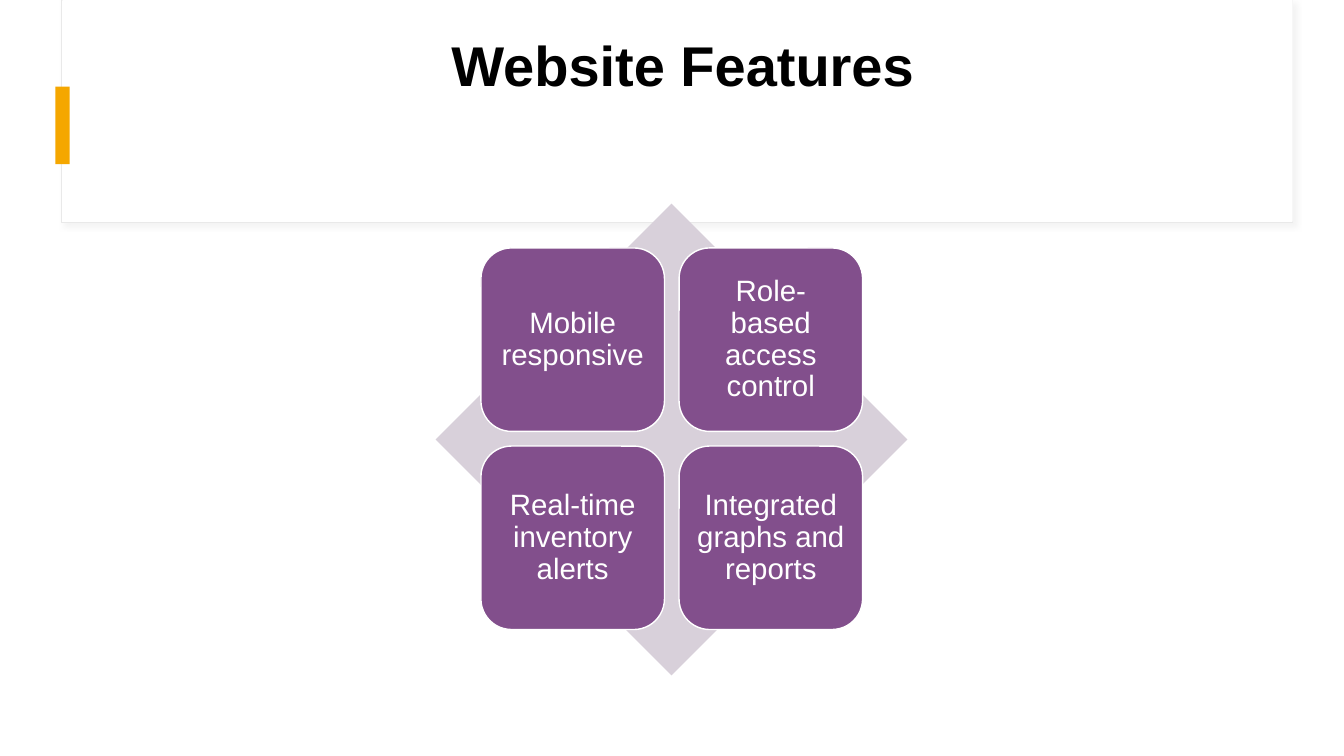
from dataclasses import dataclass

from lxml import etree
from pptx import Presentation
from pptx.dml.color import RGBColor
from pptx.enum import shapes, text
from pptx.oxml import ns
from pptx.util import Inches, Pt


@dataclass(frozen=True)
class Theme:
    font: str = "Arial"
    white: str = "FFFFFF"
    black: str = "000000"
    border: str = "E9E9E9"
    shadow: str = "D9D9D9"
    accent: str = "F5A700"
    diamond: str = "D8D0DA"
    tile: str = "824F8C"
    title_size: int = 40
    tile_size: int = 21


THEME = Theme()
KINDS = shapes.MSO_SHAPE
FEATURES = (
    ("Mobile responsive", "Role-based access control"),
    ("Real-time inventory alerts", "Integrated graphs and reports"),
)
TILE_LEFT, TILE_TOP = 4.77, 2.46
TILE_SIZE = 1.82
TILE_STEP = 1.965


def set_values(target, values):
    for name, value in values.items():
        setattr(target, name, value)


def add_panel(page, kind, place, fill, line=None, line_width=1):
    panel = page.shapes.add_shape(kind, *map(Inches, place))
    panel.shadow.inherit = False
    panel.fill.solid()
    panel.fill.fore_color.rgb = RGBColor.from_string(fill)
    if line:
        panel.line.color.rgb = RGBColor.from_string(line)
        panel.line.width = Pt(line_width)
    else:
        panel.line.fill.background()
    return panel


def add_soft_shadow(panel):
    effects = panel._element.spPr.find(ns.qn("a:effectLst"))
    shadow = etree.SubElement(
        effects, ns.qn("a:outerShdw"),
        blurRad=str(Pt(4)), dist=str(Pt(3)), dir=str(45 * 60000),
        algn="tl", rotWithShape="0")
    color = etree.SubElement(shadow, ns.qn("a:srgbClr"), val=THEME.shadow)
    etree.SubElement(color, ns.qn("a:alpha"), val="30000")


def write_centred(box, words, size, color, bold=False, margins=(0.1, 0.05, 0.1, 0.05)):
    """Fill a box with one centred paragraph; margins run left, top, right, bottom."""
    frame = box.text_frame
    sides = ("margin_left", "margin_top", "margin_right", "margin_bottom")
    set_values(frame, dict(zip(sides, map(Inches, margins))))
    set_values(frame, {"word_wrap": True,
                       "vertical_anchor": text.MSO_ANCHOR.MIDDLE})
    para = frame.paragraphs[0]
    set_values(para, {"alignment": text.PP_ALIGN.CENTER, "line_spacing": 0.9})
    span = para.add_run()
    span.text = words
    set_values(span.font, {"name": THEME.font, "size": Pt(size), "bold": bold})
    span.font.color.rgb = RGBColor.from_string(color)


def add_header(page):
    card = add_panel(page, KINDS.RECTANGLE, (0.61, 0, 12.21, 2.21),
                     THEME.white, THEME.border, 0.75)
    add_soft_shadow(card)
    add_panel(page, KINDS.RECTANGLE, (0.62, 0, 12.2, 2.2), THEME.white)
    add_panel(page, KINDS.RECTANGLE, (0.55, 0.86, 0.14, 0.77), THEME.accent)
    title = page.shapes.add_textbox(*map(Inches, (1.31, 0.18, 10.92, 1.64)))
    write_centred(title, "Website Features", THEME.title_size, THEME.black,
                  bold=True, margins=(0.1, 0.05, 0.1, 0.7))


def add_feature_matrix(page):
    add_panel(page, KINDS.DIAMOND, (4.32, 2.02, 4.68, 4.68), THEME.diamond)
    for row, features in enumerate(FEATURES):
        for column, feature in enumerate(features):
            place = (TILE_LEFT + column * TILE_STEP, TILE_TOP + row * TILE_STEP,
                     TILE_SIZE, TILE_SIZE)
            tile = add_panel(page, KINDS.ROUNDED_RECTANGLE, place,
                             THEME.tile, THEME.white)
            write_centred(tile, feature, THEME.tile_size, THEME.white,
                          margins=(0.09,) * 4)


def main():
    deck = Presentation()
    set_values(deck, {"slide_width": Inches(13.33), "slide_height": Inches(7.5)})
    page = deck.slides.add_slide(deck.slide_layouts[6])
    add_header(page)
    add_feature_matrix(page)
    deck.save("out.pptx")


if __name__ == "__main__":
    main()
